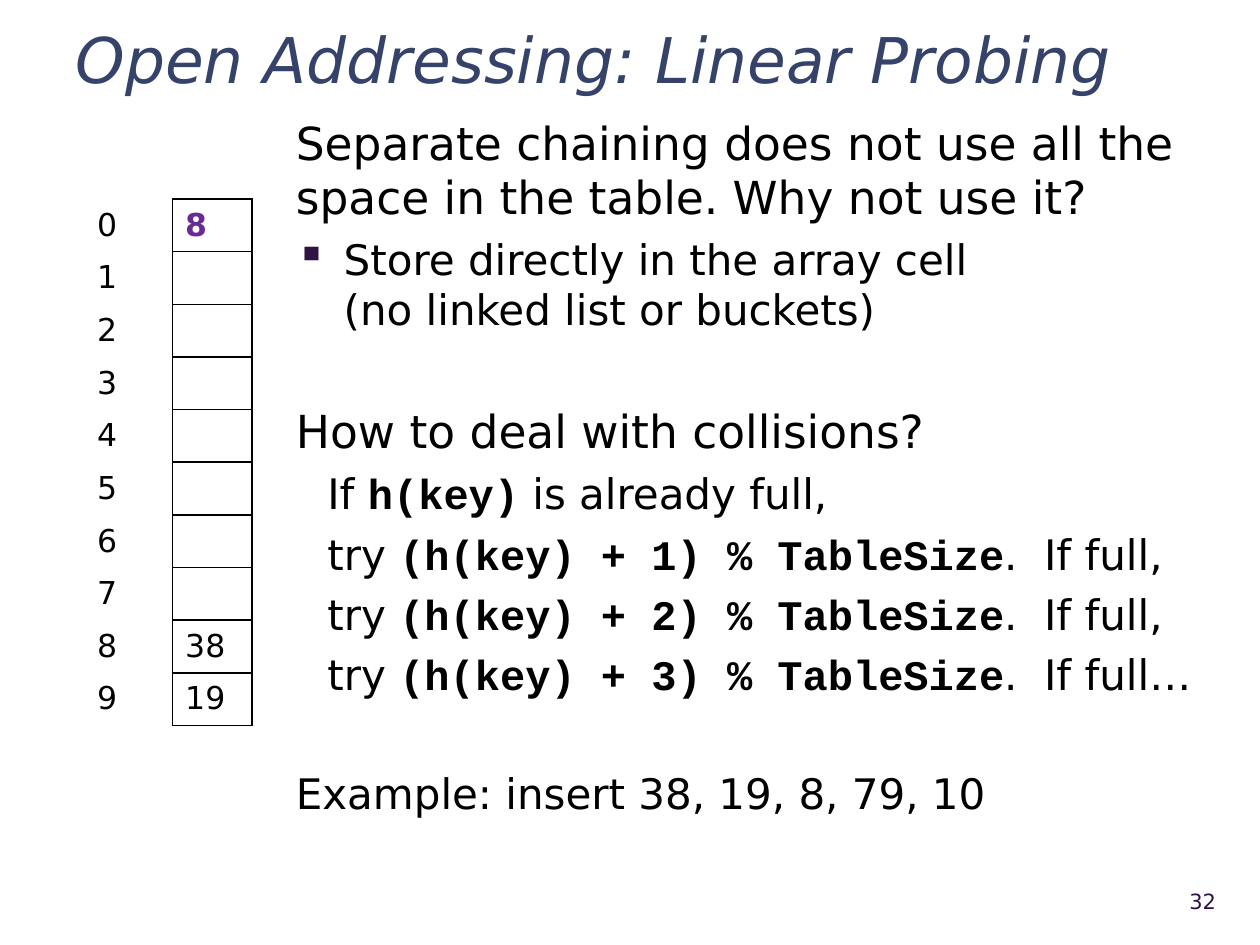
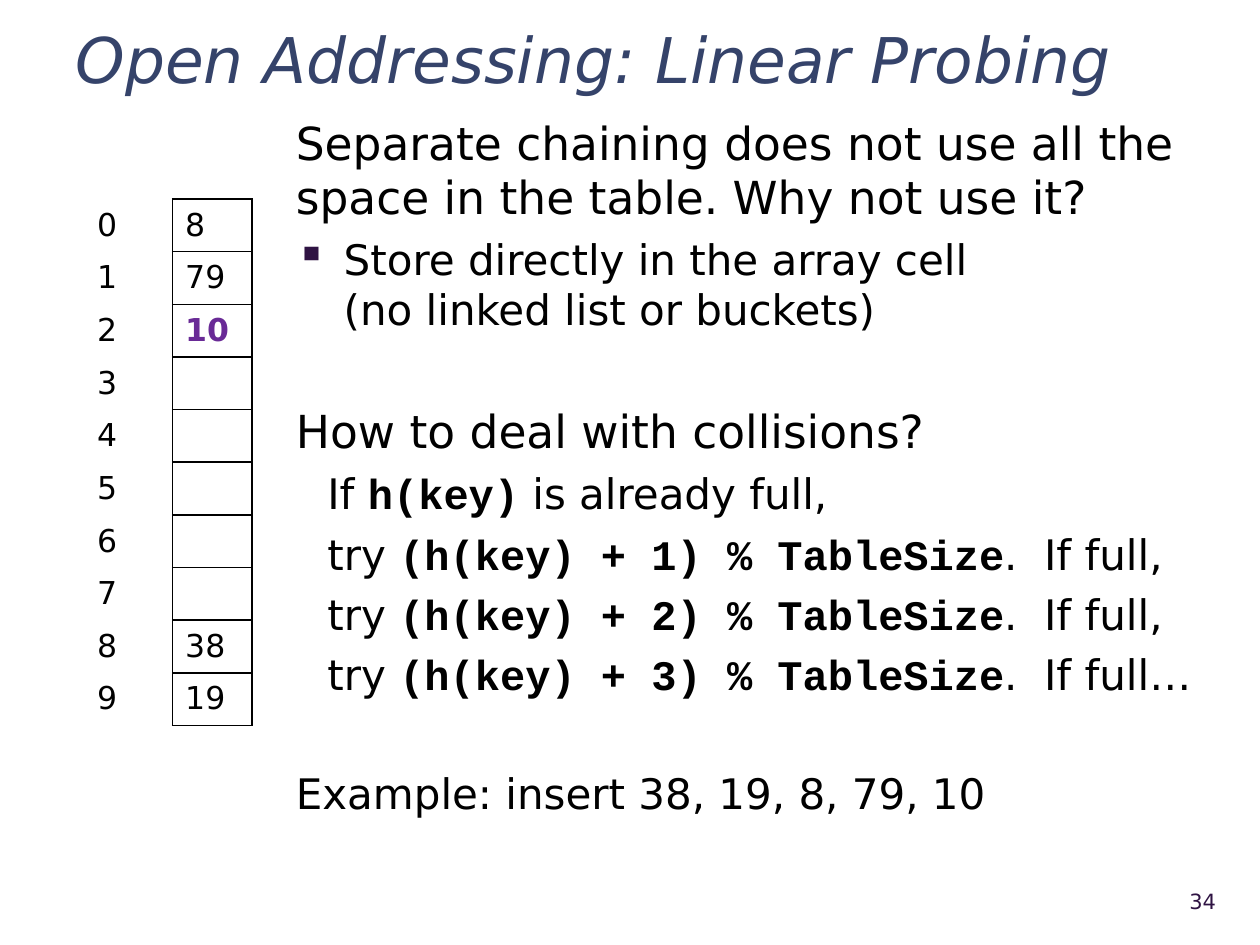
from lxml.etree import SubElement
from pptx import Presentation
from pptx.dml.color import RGBColor
from pptx.enum.text import MSO_ANCHOR as Anchor, MSO_AUTO_SIZE as AutoSize, PP_ALIGN as Align
from pptx.oxml import parse_xml
from pptx.oxml.ns import nsdecls, qn
from pptx.util import Inches, Pt

# Content
TITLE = "Open Addressing: Linear Probing"
# (style, text); backticks enclose code
BODY = [
    ("lead", "Separate chaining does not use all the space in the table. Why not use it?"),
    ("bullet", "Store directly in the array cell \n(no linked list or buckets)"),
    ("question", "How to deal with collisions?"),
    ("step", "If `h(key)` is already full,"),
    ("step", "try `(h(key) + 1) % TableSize`.  If full,"),
    ("step", "try `(h(key) + 2) % TableSize`.  If full,"),
    ("step", "try `(h(key) + 3) % TableSize`.  If full…"),
    ("example", "Example: insert 38, 19, 8, 79, 10"),
]
# Slot -> key, and the slot that was filled last
SLIDES = [
    {"number": 32, "keys": {0: 8, 8: 38, 9: 19}, "newest": 0},
    {"number": 34, "keys": {0: 8, 1: 79, 2: 10, 8: 38, 9: 19}, "newest": 2},
]

# Shared look
COLORS = {"title": "35436A", "text": "000000", "accent": "692A96", "dark": "2F1343"}
SANS, MONO = "DejaVu Sans", "Courier New"
# style: (size, space before, left margin, first-line indent)
STYLES = {
    "lead": (26, 0, 0, 0),
    "bullet": (24, 5.6, 0.38, -0.38),
    "question": (26, 39.5, 0, 0),
    "step": (24, 5.6, 0.25, 0),
    "example": (24, 39.1, 0, 0),
}
TABLE_SIZE = 10
COLUMN_WIDTHS = (0.7, 0.63)
TABLE_HEIGHT = 4.18
NO_STYLE = "{2D5ABB26-0587-4C30-8999-92F81FD0307C}"


def style_run(run, size, color, font=SANS, bold=False, italic=False):
    run.font.size, run.font.name = Pt(size), font
    run.font.bold, run.font.italic = bold, italic
    run.font.color.rgb = RGBColor.from_string(COLORS[color])


def add_title(page):
    title = page.shapes.title
    title.left, title.top, title.width, title.height = map(Inches, (0.5, 0.17, 9.25, 0.53))
    frame = title.text_frame
    frame.text = TITLE
    frame.auto_size, frame.vertical_anchor = AutoSize.NONE, Anchor.MIDDLE
    para = frame.paragraphs[0]
    para.alignment, para.line_spacing = Align.LEFT, 1.1
    style_run(para.runs[0], 36, "title", italic=True)


def add_bullet(para):
    properties = para._p.get_or_add_pPr()
    color = SubElement(properties, qn("a:buClr"))
    SubElement(color, qn("a:srgbClr")).set("val", COLORS["dark"])
    SubElement(properties, qn("a:buChar")).set("char", "▪")


def add_body(page):
    box = page.shapes.add_textbox(*map(Inches, (2.25, 0.83, 7.5, 6)))
    frame = box.text_frame
    frame.word_wrap = True
    frame.margin_top = Inches(0.08)
    for index, (style, text) in enumerate(BODY):
        para = frame.add_paragraph() if index else frame.paragraphs[0]
        size, before, margin, indent = STYLES[style]
        para.space_before = Pt(before)
        properties = para._p.get_or_add_pPr()
        properties.set("marL", str(Inches(margin)))
        properties.set("indent", str(Inches(indent)))
        if style == "bullet":
            add_bullet(para)
        for part, piece in enumerate(text.split("`")):
            is_code = part % 2 == 1
            for number, line in enumerate(piece.split("\n")):
                if number:
                    para.add_line_break()
                run = para.add_run()
                run.text = line
                style_run(run, size, "text", MONO if is_code else SANS, bold=is_code)


def add_borders(cell, sides):
    properties = cell._tc.get_or_add_tcPr()
    for position, side in enumerate(sides):
        line = parse_xml(
            f'<a:ln{side} {nsdecls("a")} w="{Pt(1)}"><a:solidFill>'
            f'<a:srgbClr val="{COLORS["text"]}"/></a:solidFill></a:ln{side}>')
        properties.insert(position, line)


def add_hash_table(page, keys, newest):
    frame = page.shapes.add_table(
        TABLE_SIZE, 2, Inches(0.67), Inches(1.58),
        Inches(sum(COLUMN_WIDTHS)), Inches(TABLE_HEIGHT))
    table = frame.table
    table.first_row = table.horz_banding = False
    table._tbl.tblPr.find(qn("a:tableStyleId")).text = NO_STYLE
    for column, width in zip(table.columns, COLUMN_WIDTHS):
        column.width = Inches(width)
    for slot, row in enumerate(table.rows):
        row.height = Inches(TABLE_HEIGHT / TABLE_SIZE)
        values = (slot, keys.get(slot, ""))
        for column, (cell, value) in enumerate(zip(row.cells, values)):
            cell.fill.background()
            cell.vertical_anchor = Anchor.MIDDLE
            cell.text = str(value)
            is_new = column == 1 and slot == newest
            for run in cell.text_frame.paragraphs[0].runs:
                style_run(run, 18, "accent" if is_new else "text", bold=is_new)
            add_borders(cell, "LRTB" if column else "R")


def add_page_number(page, number):
    box = page.shapes.add_textbox(*map(Inches, (8.89, 6.95, 0.86, 0.4)))
    frame = box.text_frame
    frame.word_wrap = True
    frame.vertical_anchor = Anchor.MIDDLE
    frame.text = str(number)
    para = frame.paragraphs[0]
    para.alignment = Align.RIGHT
    style_run(para.runs[0], 12, "dark")


def main():
    deck = Presentation()
    deck.slide_width, deck.slide_height = Inches(10), Inches(7.5)
    for content in SLIDES:
        page = deck.slides.add_slide(deck.slide_layouts[5])
        add_title(page)
        add_body(page)
        add_hash_table(page, content["keys"], content["newest"])
        add_page_number(page, content["number"])
    deck.save("out.pptx")


if __name__ == "__main__":
    main()
